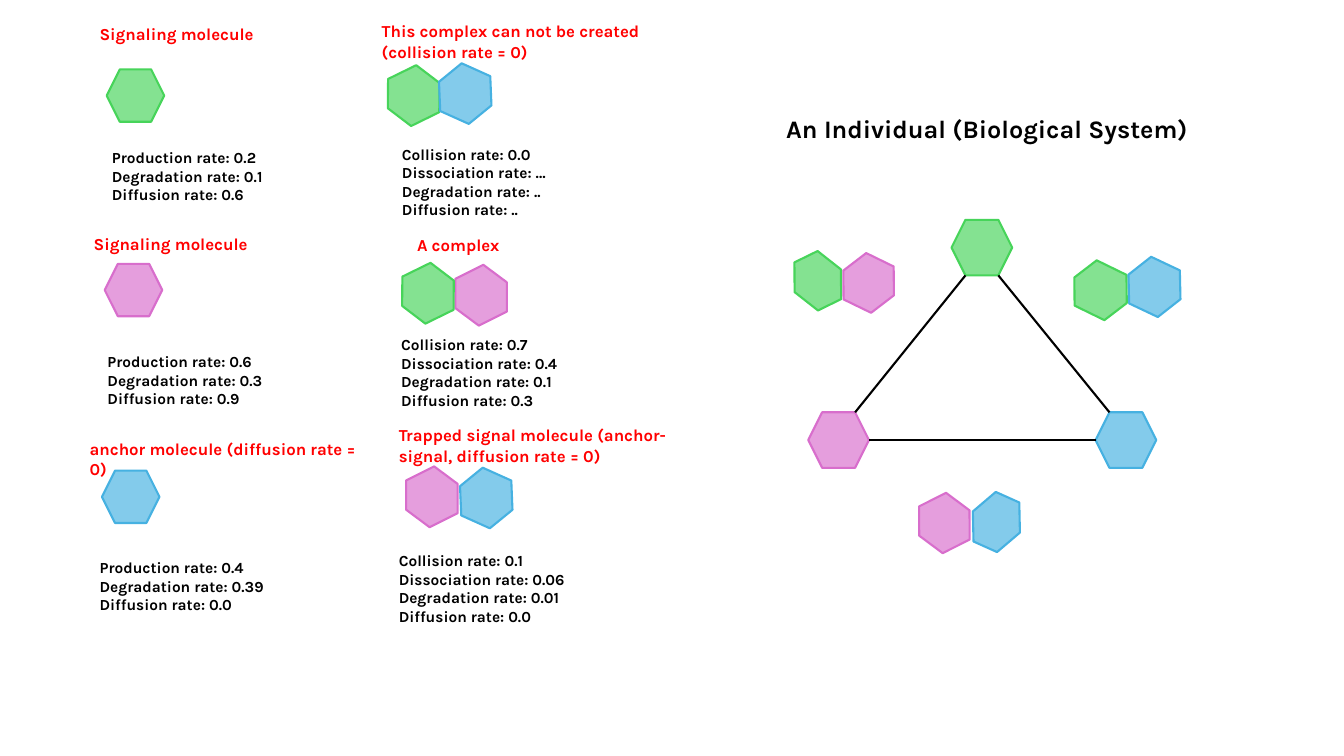
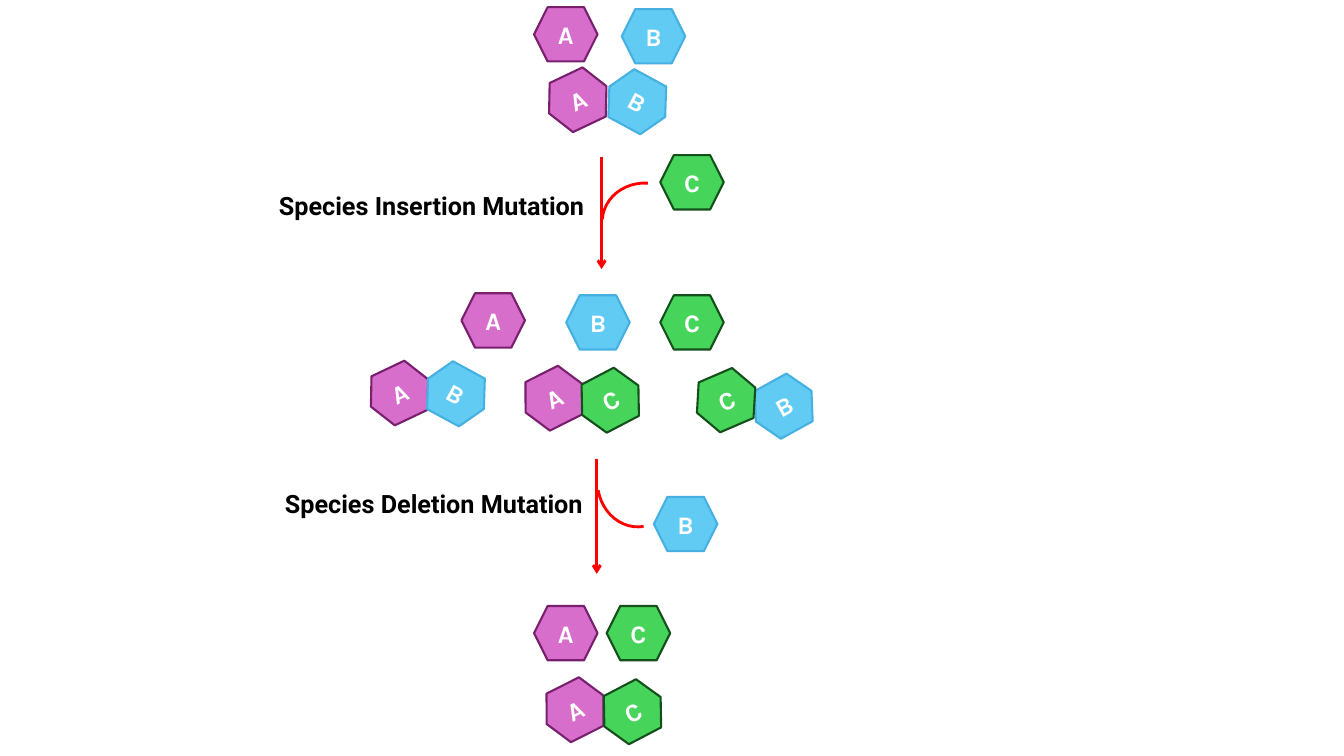
import pptx
import pptx.util
import pptx.dml.color
import pptx.enum.shapes
import pptx.enum.text
import pptx.oxml.ns
from lxml import etree

Cm, Pt = pptx.util.Cm, pptx.util.Pt
RGB = pptx.dml.color.RGBColor
SHAPE = pptx.enum.shapes.MSO_SHAPE
ANCHOR = pptx.enum.text.MSO_ANCHOR
ALIGN = pptx.enum.text.PP_ALIGN
AUTO_SIZE = pptx.enum.text.MSO_AUTO_SIZE
qn = pptx.oxml.ns.qn

BLACK = RGB(0x00, 0x00, 0x00)
WHITE = RGB(0xFF, 0xFF, 0xFF)
RED = RGB(0xFF, 0x00, 0x00)
GREEN = RGB(0x47, 0xD4, 0x5A)
PINK = RGB(0xD8, 0x6E, 0xCC)
BLUE = RGB(0x46, 0xB1, 0xE1)
LIGHT_GREEN = RGB(0x84, 0xE2, 0x91)
LIGHT_PINK = RGB(0xE5, 0x9E, 0xDD)
LIGHT_BLUE = RGB(0x83, 0xCB, 0xEB)
BRIGHT_BLUE = RGB(0x61, 0xCB, 0xF4)
DARK_GREEN = RGB(0x13, 0x50, 0x1B)
DARK_PINK = RGB(0x78, 0x20, 0x6E)

BODY_FONT = "Karla"
STEP_FONT = "Roboto"

# Fill and outline of each molecule; the lettered species have stronger colours.
MOLECULES = {
    "green": (LIGHT_GREEN, GREEN),
    "pink": (LIGHT_PINK, PINK),
    "blue": (LIGHT_BLUE, BLUE),
    "A": (PINK, DARK_PINK),
    "B": (BRIGHT_BLUE, BLUE),
    "C": (GREEN, DARK_GREEN),
}
CARD_SIZE = (1.45, 1.32)
NODE_SIZE = (1.53, 1.4)
SPECIES_SIZE = (1.6, 1.37)

# Box, heading, heading width, molecules (kind, x, y, turn), rates and their place.
CARDS = [
    ((2.26, 0.48), "Signaling molecule", 6.55,
     [("green", 0.43, 1.27, 0)], (0.31, 3.13),
     ["Production rate: 0.2", "Degradation rate: 0.1", "Diffusion rate: 0.6"]),
    ((2.11, 5.77), "Signaling molecule", 6.55,
     [("pink", 0.53, 0.88, 0)], (0.35, 2.99),
     ["Production rate: 0.6", "Degradation rate: 0.3", "Diffusion rate: 0.9"]),
    ((2.01, 10.92), "anchor molecule (diffusion rate = 0)", 7.49,
     [("blue", 0.56, 0.94, 0)], (0.25, 3.02),
     ["Production rate: 0.4", "Degradation rate: 0.39", "Diffusion rate: 0.0"]),
    ((9.37, 0.41), "This complex can not be created (collision rate = 0)", 7.04,
     [("green", 0.33, 1.34, -26.1), ("blue", 1.63, 1.29, 24.2)], (0.51, 3.12),
     ["Collision rate: 0.0", "Dissociation rate: …",
      "Degradation rate: ..", "Diffusion rate: .."]),
    ((10.26, 5.79), "A complex", 6.55,
     [("pink", 1.14, 0.99, -26.7), ("green", -0.2, 0.94, -26.1)], (-0.4, 2.54),
     ["Collision rate: 0.7", "Dissociation rate: 0.4",
      "Degradation rate: 0.1", "Diffusion rate: 0.3"]),
    ((9.8, 10.59), "Trapped signal molecule (anchor-signal, diffusion rate = 0)", 7.49,
     [("blue", 1.73, 1.3, 24.2), ("pink", 0.36, 1.27, -26.7)], (0, 3.18),
     ["Collision rate: 0.1", "Dissociation rate: 0.06",
      "Degradation rate: 0.01", "Diffusion rate: 0.0"]),
]

# Corners of the triangle, and the complexes beside its sides.
NODES = {"green": (4.42, 2.8), "pink": (0.81, 7.65), "blue": (8.05, 7.65)}
COMPLEXES = [
    ("green", 7.44, 3.94, 26, (1.47, 1.27)),
    ("green", 0.4, 3.66, -26.1, (1.3, 1.35)),
    ("pink", 1.62, 3.74, 26, (1.42, 1.3)),
    ("pink", 3.53, 9.78, -26.7, (1.42, 1.32)),
    ("blue", 8.81, 3.84, 25.3, (1.45, 1.3)),
    ("blue", 4.9, 9.73, 24.2, (1.3, 1.37)),
]

STAGES = [
    ((13.46, 0.18),
     [("B", 2.21, 0.05, 0), ("A", 0, 0, 0),
      ("A", 0.3, 1.65, -25.4), ("B", 1.8, 1.7, 28.5)]),
    ((9.27, 7.39),
     [("B", 5, 0.05, 0), ("C", 7.37, 0.05, 0), ("A", 2.36, 0, 0),
      ("A", 0, 1.83, -25.4), ("A", 3.89, 1.96, -26.7), ("B", 1.42, 1.85, 28.5),
      ("B", 9.68, 2.16, -28.9), ("C", 5.31, 2.01, -27.6), ("C", 8.23, 2.01, -23.3)]),
    ((13.46, 15.27),
     [("C", 1.83, 0, 0), ("A", 0, 0, 0),
      ("A", 0.23, 1.93, -26.7), ("C", 1.68, 1.98, -27.6)]),
]

# Arrow start, arrow length, label and its place, arc (x, y, turn), species (kind, x, y).
MUTATIONS = [
    ((15.16, 3.96), 2.82, "Species Insertion Mutation", (-8.38, 0.71),
     (0.13, 0.54, 273.5), ("C", 1.48, -0.05)),
    ((15.04, 11.56), 2.9, "Species Deletion Mutation", (-8.11, 0.63),
     (0.02, -0.46, 170.6), ("B", 1.44, 0.96)),
]


def format_text(frame, lines, size, color, font=BODY_FONT, align=ALIGN.LEFT):
    frame.text = "\n".join(lines)
    for paragraph in frame.paragraphs:
        paragraph.alignment = align
        paragraph.font.name = font
        paragraph.font.size = Pt(size)
        paragraph.font.bold = True
        paragraph.font.color.rgb = color


def add_text(slide, x, y, width, lines, size, color, font=BODY_FONT):
    height = 0.25 + len(lines) * size * 0.042
    box = slide.shapes.add_textbox(Cm(x), Cm(y), Cm(width), Cm(height))
    box.text_frame.word_wrap = True
    box.text_frame.auto_size = AUTO_SIZE.SHAPE_TO_FIT_TEXT
    format_text(box.text_frame, lines, size, color, font)


def add_molecule(slide, kind, x, y, turn, size, letter=""):
    width, height = size
    hexagon = slide.shapes.add_shape(SHAPE.HEXAGON, Cm(x), Cm(y), Cm(width), Cm(height))
    hexagon.rotation = turn
    hexagon.shadow.inherit = False
    fill, outline = MOLECULES[kind]
    hexagon.fill.solid()
    hexagon.fill.fore_color.rgb = fill
    hexagon.line.color.rgb = outline
    hexagon.line.width = Pt(1.5)
    if letter:
        frame = hexagon.text_frame
        frame.margin_left = frame.margin_right = 0
        frame.margin_top = frame.margin_bottom = 0
        frame.vertical_anchor = ANCHOR.MIDDLE
        format_text(frame, [letter], 18, WHITE, align=ALIGN.CENTER)


def add_species(slide, letter, x, y, turn=0):
    add_molecule(slide, letter, x, y, turn, SPECIES_SIZE, letter)


def add_line(slide, start, end, color, width, arrow=False):
    line = slide.shapes.add_connector(
        pptx.enum.shapes.MSO_CONNECTOR.STRAIGHT, *(Cm(v) for v in (*start, *end)))
    line.line.color.rgb = color
    line.line.width = Pt(width)
    if arrow:
        etree.SubElement(line.line._get_or_add_ln(), qn("a:tailEnd"), type="arrow")
    etree.SubElement(line._element.spPr, qn("a:effectLst"))


def add_card(slide, box, heading, heading_width, molecules, rates_place, rates):
    """Red heading, the molecule or complex below it, and its rates."""
    left, top = box
    for kind, x, y, turn in molecules:
        add_molecule(slide, kind, left + x, top + y, turn, CARD_SIZE)
    add_text(slide, left + rates_place[0], top + rates_place[1], 8.31, rates, 11, BLACK)
    add_text(slide, left, top, heading_width, [heading], 12, RED)


def add_system(slide, left, top):
    """Title above a triangle of molecules with their complexes."""
    title = slide.shapes.title
    title.left, title.top, title.width, title.height = Cm(left), Cm(top), Cm(12.14), Cm(1.02)
    title.text_frame.word_wrap = True
    title.text_frame.auto_size = AUTO_SIZE.NONE
    title.text_frame.vertical_anchor = ANCHOR.TOP
    format_text(title.text_frame, ["An Individual (Biological System)"], 18, BLACK)

    width, height = NODE_SIZE
    inset = height / 4  # horizontal run of a hexagon's slanted side
    nodes = {kind: (left + x, top + y) for kind, (x, y) in NODES.items()}
    for kind, (x, y) in nodes.items():
        add_molecule(slide, kind, x, y, 0, NODE_SIZE)

    def point(kind, dx, dy):
        return nodes[kind][0] + dx, nodes[kind][1] + dy

    sides = [
        (point("green", inset, height), point("pink", width - inset, 0)),
        (point("green", width - inset, height), point("blue", inset, 0)),
        (point("blue", 0, height / 2), point("pink", width, height / 2)),
    ]
    for start, end in sides:
        add_line(slide, start, end, BLACK, 1.5)
    for kind, x, y, turn, size in COMPLEXES:
        add_molecule(slide, kind, left + x, top + y, turn, size)


def add_stage(slide, box, species):
    """Species present at one moment, with the complexes they form."""
    left, top = box
    for letter, x, y, turn in species:
        add_species(slide, letter, left + x, top + y, turn)


def add_mutation(slide, start, length, label, label_place, arc_place, species):
    """Labelled arrow with a branch to the species that enters or leaves."""
    left, top = start
    add_line(slide, start, (left, top + length), RED, 2, arrow=True)
    x, y, turn = arc_place
    branch = slide.shapes.add_shape(SHAPE.ARC, Cm(left + x), Cm(top + y), Cm(1.96), Cm(2.18))
    branch.rotation = turn
    branch.shadow.inherit = False
    branch.fill.background()
    branch.line.color.rgb = RED
    branch.line.width = Pt(2)
    letter, x, y = species
    add_species(slide, letter, left + x, top + y)
    add_text(slide, left + label_place[0], top + label_place[1], 9.7,
             [label], 18, BLACK, STEP_FONT)


def main():
    deck = pptx.Presentation()
    deck.slide_width, deck.slide_height = Cm(33.87), Cm(19.05)
    title_only, blank = deck.slide_layouts[5], deck.slide_layouts[6]

    rates_slide = deck.slides.add_slide(title_only)
    add_system(rates_slide, 19.56, 2.74)
    for card in CARDS:
        add_card(rates_slide, *card)

    mutation_slide = deck.slides.add_slide(blank)
    for stage in STAGES:
        add_stage(mutation_slide, *stage)
    for mutation in MUTATIONS:
        add_mutation(mutation_slide, *mutation)

    deck.save("out.pptx")


if __name__ == "__main__":
    main()
